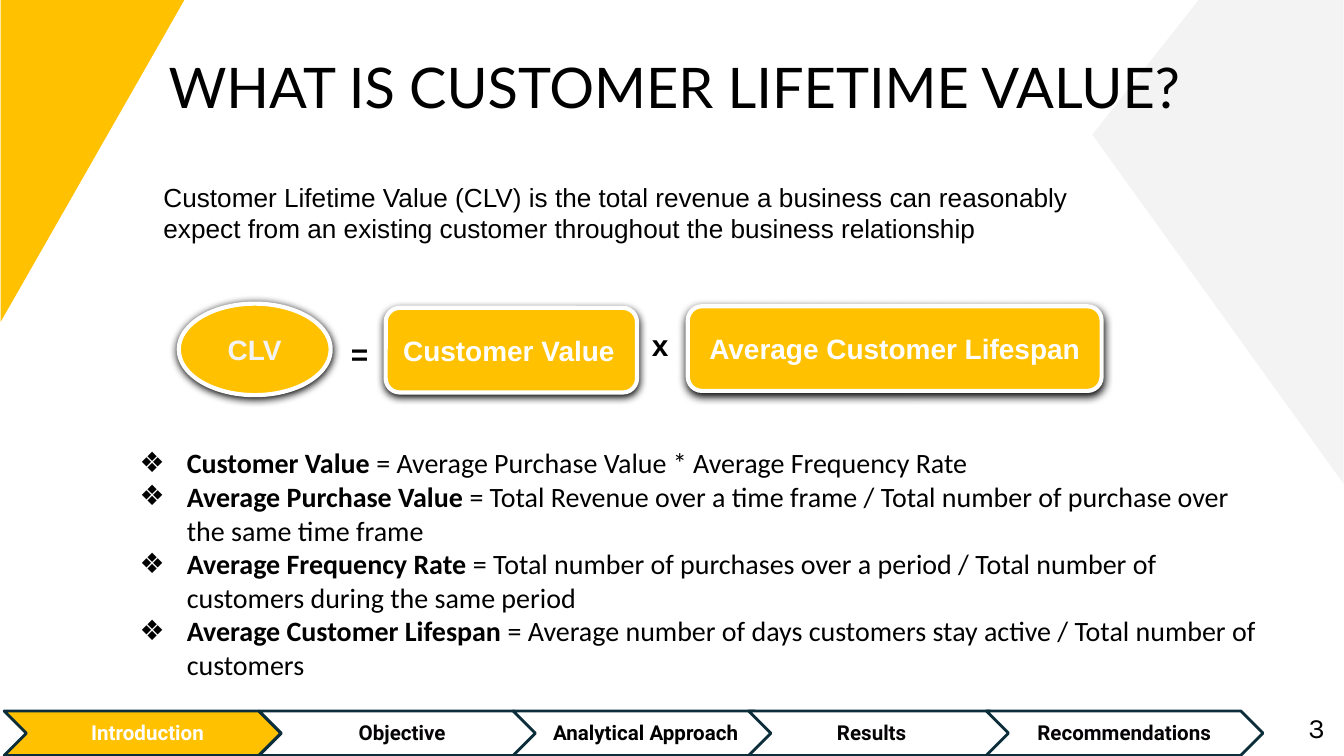
from collections import namedtuple

from lxml.etree import SubElement
from pptx import Presentation
from pptx.dml.color import RGBColor
from pptx.enum.shapes import MSO_SHAPE as Shape
from pptx.enum.text import MSO_ANCHOR as Anchor, MSO_AUTO_SIZE as AutoSize, PP_ALIGN as Align
from pptx.oxml.ns import qn
from pptx.util import Cm, Pt

AMBER = RGBColor(0xFF, 0xC1, 0x00)
PALE_GREY = RGBColor(0xF3, 0xF3, 0xF3)
NAVY = RGBColor(0x0C, 0x2E, 0x3A)
WHITE = RGBColor(0xFF, 0xFF, 0xFF)
BLACK = RGBColor(0x00, 0x00, 0x00)
INK = RGBColor(0x05, 0x03, 0x05)

Box = namedtuple("Box", "left top width height")

DEFINITIONS = [
    ("Customer Value", " = Average Purchase Value * Average Frequency Rate"),
    ("Average Purchase Value",
     " = Total Revenue over a time frame / Total number of purchase over the same time frame"),
    ("Average Frequency Rate",
     " = Total number of purchases over a period / Total number of customers during the same period"),
    ("Average Customer Lifespan",
     " = Average number of days customers stay active / Total number of customers"),
]

# Name, chevron left and width, label left and width, label colour
STAGES = [
    ("Introduction", 0, 5.23, 0.83, 3.76, WHITE),
    ("Objective", 4.82, 5.23, 5.03, 4.98, INK),
    ("Analytical Approach", 9.62, 4.98, 9.85, 4.55, BLACK),
    ("Results", 14.07, 4.98, 14.63, 3.53, INK),
    ("Recommendations", 18.56, 5.23, 19, 4.34, INK),
]
CURRENT_STAGE = "Introduction"


def within(box, left, top, width, height):
    """Turn a place relative to box into a place on the slide."""
    return Box(box.left + left, box.top + top, width, height)


def lengths(box):
    return [Cm(value) for value in box]


def style_run(run, font, size, color, bold=False):
    run.font.name, run.font.size, run.font.bold = font, Pt(size), bold
    run.font.color.rgb = color


def prepare_frame(frame, anchor=Anchor.TOP):
    frame.word_wrap = True
    frame.auto_size = AutoSize.NONE
    frame.vertical_anchor = anchor
    frame.margin_left = frame.margin_right = Cm(0.25)
    frame.margin_top = frame.margin_bottom = Cm(0.25)


def write(frame, text, font, size, color, bold=False, align=Align.LEFT, anchor=Anchor.TOP):
    prepare_frame(frame, anchor)
    frame.text = text
    paragraph = frame.paragraphs[0]
    paragraph.alignment = align
    style_run(paragraph.runs[0], font, size, color, bold)


def add_text(slide, box, *text_style, **text_options):
    write(slide.shapes.add_textbox(*lengths(box)).text_frame, *text_style, **text_options)


def add_filled(slide, kind, box, fill, line=None, line_width=0):
    shape = slide.shapes.add_shape(kind, *lengths(box))
    shape.shadow.inherit = False
    shape.fill.solid()
    shape.fill.fore_color.rgb = fill
    if line is None:
        shape.line.fill.background()
    else:
        shape.line.color.rgb = line
        shape.line.width = Pt(line_width)
    return shape


def place_placeholder(placeholder, box):
    placeholder.left, placeholder.top, placeholder.width, placeholder.height = lengths(box)


def drop_shadow(shape, distance):
    effects = shape.element.spPr.find(qn("a:effectLst"))
    shadow = SubElement(effects, qn("a:outerShdw"), blurRad=str(Pt(4.5)),
                        dist=str(Pt(distance)), dir="5400000", algn="bl", rotWithShape="0")
    SubElement(shadow, qn("a:srgbClr"), val=str(BLACK))


def add_corners(slide, box):
    """Place the two corner triangles behind the title."""
    grey = add_filled(slide, Shape.ISOSCELES_TRIANGLE,
                      within(box, 16.71, 0.46, 12.62, 4.75), PALE_GREY)
    grey.adjustments[0] = 0.523
    grey.rotation = 270
    amber = add_filled(slide, Shape.RIGHT_TRIANGLE, within(box, -1.3, 1.3, 6.1, 3.48), AMBER)
    amber.rotation = 90
    for corner in (grey, amber):
        slide.shapes.title.element.addprevious(corner.element)


def add_title(slide, box):
    place_placeholder(slide.shapes.title, box)
    write(slide.shapes.title.text_frame, "WHAT IS CUSTOMER LIFETIME VALUE?",
          "Lato", 30, BLACK, align=Align.CENTER)


def add_formula(slide, box):
    terms = [
        ("CLV", Shape.OVAL, (0, 0, 2.87, 1.73), PALE_GREY, Align.CENTER, 0.8),
        ("Customer Value", Shape.ROUNDED_RECTANGLE, (3.91, 0.08, 4.75, 1.6),
         WHITE, Align.LEFT, 1.5),
        ("Average Customer Lifespan", Shape.ROUNDED_RECTANGLE, (9.62, 0.05, 7.82, 1.6),
         WHITE, Align.CENTER, 1.5),
    ]
    for name, kind, place, color, align, distance in terms:
        term = add_filled(slide, kind, within(box, *place), AMBER, WHITE, 2.25)
        drop_shadow(term, distance)
        write(term.text_frame, name, "Arial", 15, color, True, align, Anchor.MIDDLE)
    for sign, place in (("=", (3, 0.36, 1.14, 1.19)), ("x", (8.69, 0.18, 0.89, 1.19))):
        add_text(slide, within(box, *place), sign, "Arial", 16, BLACK, bold=True)


def add_definitions(slide, box):
    body = slide.placeholders[1]
    place_placeholder(body, box)
    frame = body.text_frame
    prepare_frame(frame)
    for index, (term, meaning) in enumerate(DEFINITIONS):
        paragraph = frame.add_paragraph() if index else frame.paragraphs[0]
        for text, bold in ((term, True), (meaning, False)):
            run = paragraph.add_run()
            run.text = text
            style_run(run, "Calibri", 15, BLACK, bold)
        paragraph.space_before = Pt(0)
        properties = paragraph._p.get_or_add_pPr()
        properties.set("marL", str(Cm(1.27)))
        properties.set("indent", str(-Cm(0.89)))
        bullet_color = SubElement(properties, qn("a:buClr"))
        SubElement(bullet_color, qn("a:srgbClr"), val=str(BLACK))
        SubElement(properties, qn("a:buChar"), char="❖")


def add_stage_bar(slide, box):
    for name, left, width, *_ in STAGES:
        fill = AMBER if name == CURRENT_STAGE else WHITE
        add_filled(slide, Shape.CHEVRON, within(box, left, 0.08, width, 0.84), fill, NAVY, 1.5)
    for name, _, _, left, width, color in STAGES:
        add_text(slide, within(box, left, 0, width, box.height), name,
                 "Roboto", 11, color, bold=True, align=Align.CENTER)


def main():
    deck = Presentation()
    deck.slide_width, deck.slide_height = Cm(25.4), Cm(14.29)
    slide = deck.slides.add_slide(deck.slide_layouts[1])
    add_corners(slide, Box(0, 0, 25.4, 14.29))
    add_title(slide, Box(1.5, 0.74, 22.5, 1.6))
    add_text(slide, Box(2.84, 3.18, 18.97, 1.7),
             "Customer Lifetime Value (CLV) is the total revenue a business can reasonably "
             "expect from an existing customer throughout the business relationship",
             "Arial", 14, BLACK)
    add_formula(slide, Box(3.38, 5.74, 17.44, 1.73))
    add_definitions(slide, Box(2.01, 8.18, 22.28, 5))
    add_text(slide, Box(23.77, 13.18, 1.52, 1.09), "3", "Karla", 15, BLACK, align=Align.RIGHT)
    add_stage_bar(slide, Box(0.08, 13.36, 23.8, 0.99))
    deck.save("out.pptx")


if __name__ == "__main__":
    main()
